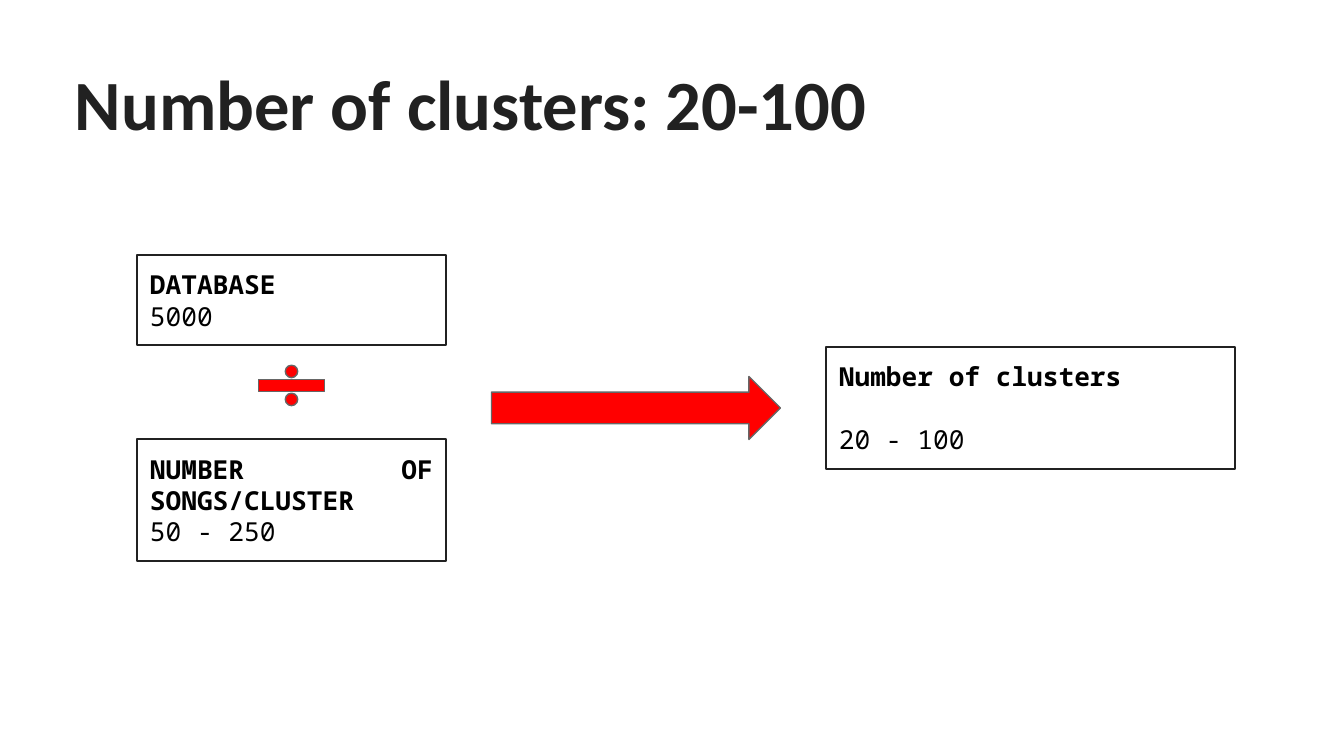
from pptx import Presentation
from pptx.dml.color import RGBColor
from pptx.enum.shapes import MSO_SHAPE
from pptx.enum.text import MSO_ANCHOR, MSO_AUTO_SIZE, PP_ALIGN
from pptx.util import Pt

RECTANGLE = MSO_SHAPE.RECTANGLE
ARROW = MSO_SHAPE.RIGHT_ARROW
DIVIDE = MSO_SHAPE.MATH_DIVIDE
LEFT, JUSTIFY = PP_ALIGN.LEFT, PP_ALIGN.JUSTIFY
MIDDLE = MSO_ANCHOR.MIDDLE
NO_AUTOFIT = MSO_AUTO_SIZE.NONE

# Content: heading, value, heading alignment, gap before value (pt)
TITLE = "Number of clusters: 20-100"
DATABASE = ("DATABASE", "5000", LEFT, 0)
SONGS = ("NUMBER OF SONGS/CLUSTER", "50 - 250", JUSTIFY, 0)
CLUSTERS = ("Number of clusters", "20 - 100", LEFT, 17)

THEME = {
    "ink": RGBColor(0x21, 0x21, 0x21),
    "text": RGBColor(0, 0, 0),
    "accent": RGBColor(0xFF, 0, 0),
    "accent_edge": RGBColor(0x66, 0x66, 0x66),
    "title_font": "Calibri",
    "box_font": "Noto Sans Mono",
    "title_size": Pt(37.8),
    "box_size": Pt(14),
    "edge": Pt(0.75),
}

# Layout in px
PX = 914400 / 134.4
SLIDE_W, SLIDE_H = 1344, 756
INSET, TITLE_INSET = 13, 29
INPUT_X, INPUT_W = 137, 309
DATABASE_Y, DATABASE_H = 255, 90
SONGS_Y, BOX_H = 439, 122
RESULT_X, RESULT_W = 826, 409
ARROW_W, ARROW_H = 289, 63
DIVIDE_W, DIVIDE_H = 90, 53
DIVIDE_Y = 359


def emu(*lengths):
    return [round(length * PX) for length in lengths]


def apply(target, values):
    for name, value in values.items():
        setattr(target, name, value)


def format_frame(frame, left_inset):
    left, inset = emu(left_inset, INSET)
    apply(frame, {"margin_left": left, "margin_right": inset,
                  "margin_top": inset, "margin_bottom": inset,
                  "word_wrap": True, "auto_size": NO_AUTOFIT,
                  "vertical_anchor": MIDDLE})


def write(paragraph, text, align, font, size, color, bold):
    paragraph.alignment = align
    run = paragraph.add_run()
    run.text = text
    apply(run.font, {"name": font, "size": size, "bold": bold})
    run.font.color.rgb = color


def add_part(slide, kind, bounds, edge, fill=None):
    part = slide.shapes.add_shape(kind, *emu(*bounds))
    part.shadow.inherit = False
    if fill is None:
        part.fill.background()
    else:
        part.fill.solid()
        part.fill.fore_color.rgb = fill
    part.line.color.rgb = edge
    part.line.width = THEME["edge"]
    return part


def add_box(slide, bounds, content):
    heading, value, align, gap = content
    frame = add_part(slide, RECTANGLE, bounds, THEME["ink"]).text_frame
    format_frame(frame, INSET)
    style = (THEME["box_font"], THEME["box_size"], THEME["text"])
    write(frame.paragraphs[0], heading, align, *style, True)
    value_line = frame.add_paragraph()
    value_line.space_before = Pt(gap)
    write(value_line, value, LEFT, *style, False)


def main():
    deck = Presentation()
    deck.slide_width, deck.slide_height = emu(SLIDE_W, SLIDE_H)
    slide = deck.slides.add_slide(deck.slide_layouts[5])

    # Title
    title = slide.shapes.title
    left, top, width, height = emu(46, 43, 1253, 118)
    apply(title, {"left": left, "top": top, "width": width, "height": height})
    format_frame(title.text_frame, TITLE_INSET)
    write(title.text_frame.paragraphs[0], TITLE, LEFT, THEME["title_font"],
          THEME["title_size"], THEME["ink"], True)

    # Result and inputs, the result centred on the input column
    middle_y = (DATABASE_Y + SONGS_Y + BOX_H) / 2
    add_box(slide, (RESULT_X, middle_y - BOX_H / 2, RESULT_W, BOX_H), CLUSTERS)
    add_box(slide, (INPUT_X, SONGS_Y, INPUT_W, BOX_H), SONGS)
    add_box(slide, (INPUT_X, DATABASE_Y, INPUT_W, DATABASE_H), DATABASE)

    # Arrow, centred between inputs and result
    arrow_x = (INPUT_X + INPUT_W + RESULT_X - ARROW_W) / 2
    add_part(slide, ARROW, (arrow_x, middle_y - ARROW_H / 2, ARROW_W, ARROW_H),
             THEME["accent_edge"], THEME["accent"])

    # Division sign, centred on the input column
    divide_x = INPUT_X + (INPUT_W - DIVIDE_W) / 2
    add_part(slide, DIVIDE, (divide_x, DIVIDE_Y, DIVIDE_W, DIVIDE_H),
             THEME["accent_edge"], THEME["accent"])

    deck.save("out.pptx")


if __name__ == "__main__":
    main()
